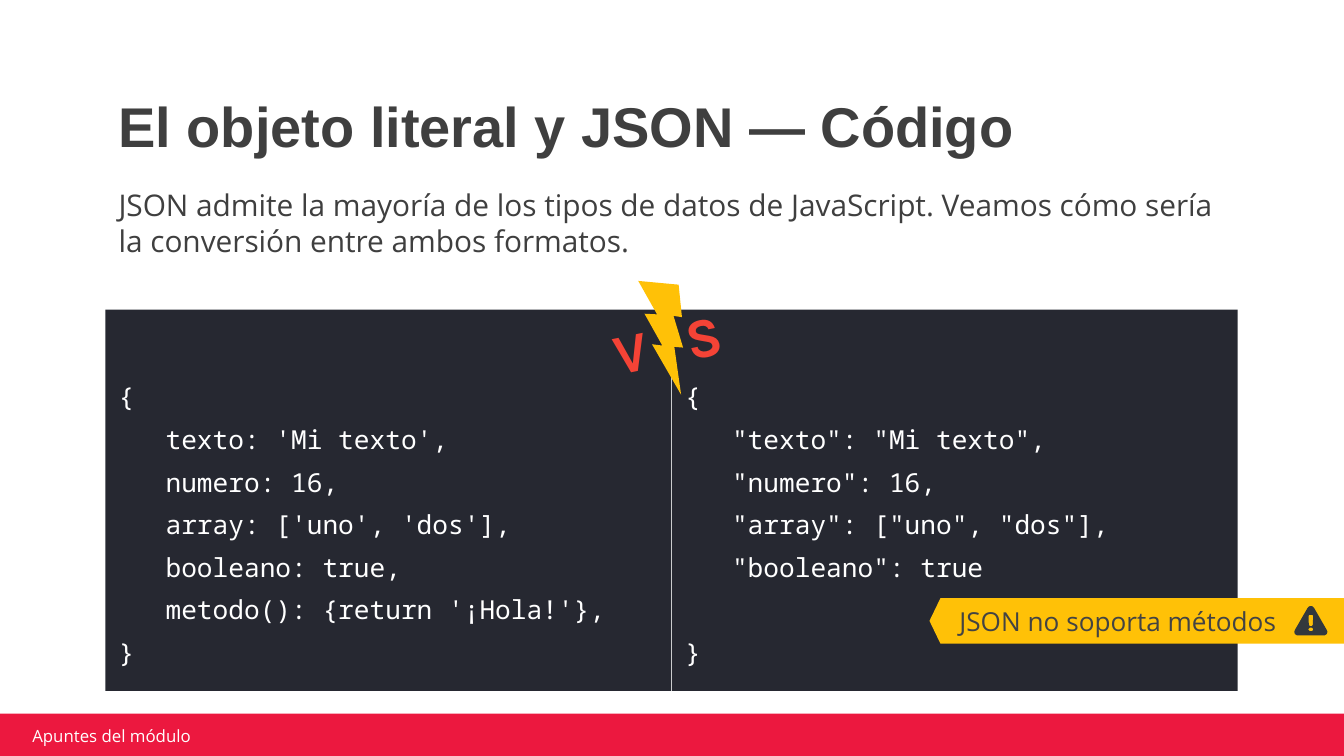
from dataclasses import dataclass

from pptx import Presentation
from pptx.dml.color import RGBColor
from pptx.enum.shapes import MSO_SHAPE
from pptx.enum.text import MSO_ANCHOR, PP_ALIGN
from pptx.util import Inches, Pt

RECTANGLE = MSO_SHAPE.RECTANGLE
ARROW = MSO_SHAPE.RIGHT_ARROW
BOLT = MSO_SHAPE.LIGHTNING_BOLT
TOP, MIDDLE, BOTTOM = MSO_ANCHOR.TOP, MSO_ANCHOR.MIDDLE, MSO_ANCHOR.BOTTOM
LEFT, CENTER = PP_ALIGN.LEFT, PP_ALIGN.CENTER


@dataclass(frozen=True)
class Theme:
    ink: str = "3F3F3F"
    tag_ink: str = "434343"
    white: str = "FFFFFF"
    panel: str = "262831"
    versus: str = "F44336"
    amber: str = "FFC107"
    icon: str = "33383C"
    footer: str = "EC183F"
    title_size: float = 30
    body_size: float = 16
    code_size: float = 14
    footer_size: float = 9
    heading: str = "Arial"
    body: str = "Open Sans"
    code: str = "Noto Sans Mono"
    display: str = "Karla"


THEME = Theme()
CODE_GAP = 6
SKIPPED_LINE = 22.8
PADDING = (0.1, 0.1, 0.1, 0.1)

LITERAL_CODE = [
    "{", "   texto: 'Mi texto',", "   numero: 16,", "   array: ['uno', 'dos'],",
    "   booleano: true,", "   metodo(): {return '¡Hola!'},", "}",
]
JSON_CODE = [
    "{", '   "texto": "Mi texto",', '   "numero": 16,',
    '   "array": ["uno", "dos"],', '   "booleano": true', "}",
]


def within(box, x, y, width, height):
    """Return a box given in percent of another box."""
    left, top, across, down = box
    return (round(left + across * x / 100), round(top + down * y / 100),
            round(across * width / 100), round(down * height / 100))


def style(target, values):
    for name, value in values.items():
        setattr(target, name, value)


def write(shape, lines, face, size, color, bold=False, anchor=TOP,
          align=LEFT, insets=PADDING):
    frame = shape.text_frame
    sides = ("margin_left", "margin_top", "margin_right", "margin_bottom")
    style(frame, {"word_wrap": True, "vertical_anchor": anchor,
                  **dict(zip(sides, map(Inches, insets)))})
    for index, line in enumerate(lines):
        para = frame.add_paragraph() if index else frame.paragraphs[0]
        style(para, {"alignment": align, "space_before": Pt(CODE_GAP if index else 0)})
        for text in [line] if isinstance(line, str) else line:
            span = para.add_run()
            span.text = text
            style(span.font, {"name": face, "size": Pt(size), "bold": bold})
            span.font.color.rgb = RGBColor.from_string(color)
    return frame.paragraphs


def paint(shape, color):
    shape.shadow.inherit = False
    shape.fill.solid()
    shape.fill.fore_color.rgb = RGBColor.from_string(color)
    shape.line.fill.background()
    return shape


def add_block(page, kind, box, color):
    return paint(page.shapes.add_shape(kind, *box), color)


def add_heading(page, box):
    # Title above its introduction
    title = page.shapes.add_textbox(*within(box, 0, 0, 100, 56.5))
    paras = write(title, ["El objeto literal y JSON — Código"], THEME.heading,
                  THEME.title_size, THEME.ink, bold=True, anchor=BOTTOM)
    paras[0].line_spacing = 0.9
    intro = page.shapes.add_textbox(*within(box, 0, 56.3, 100, 43.5))
    write(intro, ["JSON admite la mayoría de los tipos de datos de JavaScript. "
                  "Veamos cómo sería la conversión entre ambos formatos."],
          THEME.body, THEME.body_size, THEME.ink)


def add_code_panels(page, box):
    # Two equal panels with a hairline gap
    left, top, width, height = box
    gap = Pt(0.25)
    panel_width = (width - gap) // 2
    for column, lines in enumerate((LITERAL_CODE, JSON_CODE)):
        place = (left + column * (panel_width + gap), top, panel_width, height)
        panel = add_block(page, RECTANGLE, place, THEME.panel)
        paras = write(panel, lines, THEME.code, THEME.code_size, THEME.white,
                      insets=(0.1, 0.53, 0.1, 0.1))
    # The JSON side leaves the row of the method open
    paras[-1].space_before = Pt(CODE_GAP + SKIPPED_LINE)


def add_versus(page, box):
    # Tilted letters, held apart by letter spacing, with the bolt between
    letters = page.shapes.add_textbox(*box)
    letters.rotation = 348.3
    paras = write(letters, [["V", " ", "S"]], THEME.display, THEME.title_size,
                  THEME.versus, bold=True, anchor=MIDDLE, align=CENTER,
                  insets=(0, 0, 0, 0))
    paras[0].runs[1].font._element.set("spc", "1400")
    bolt = add_block(page, BOLT, within(box, 28.57, 12.7, 40, 59.3), THEME.amber)
    bolt.rotation = 30


def mirrored(half):
    """Close an outline from its right half, on a 100 by 100 field."""
    return half + [(100 - x, y) for x, y in reversed(half)]


def add_warning_icon(page, box):
    left, top, width, height = box
    triangle = mirrored([(53, 0), (57, 3), (60, 7), (98, 82), (100, 88),
                         (98, 96), (92, 100)])
    bar = mirrored([(55, 30), (57, 34), (56, 64), (53, 69)])
    dot = mirrored([(53, 74), (57, 78), (57, 82), (53, 86)])
    builder = page.shapes.build_freeform(*triangle[0], scale=(width / 100, height / 100))
    builder.add_line_segments(triangle[1:], close=True)
    for hole in (bar, dot):
        builder.move_to(*hole[0])
        builder.add_line_segments(hole[1:], close=True)
    paint(builder.convert_to_shape(left, top), THEME.icon)


def add_tag(page, box):
    # Arrow pointing left from the edge of the slide
    arrow = add_block(page, ARROW, box, THEME.amber)
    arrow.adjustments[0] = 1
    arrow.adjustments[1] = 0.241
    arrow._element.spPr.find("{*}xfrm").set("flipH", "1")
    write(arrow, ["JSON no soporta métodos"], THEME.body, THEME.code_size,
          THEME.tag_ink, anchor=MIDDLE, insets=(0.14, 0.1, 0.1, 0.1))
    add_warning_icon(page, within(box, 88, 17.6, 8, 64))


def add_footer(page, box):
    add_block(page, RECTANGLE, box, THEME.footer)
    label = page.shapes.add_textbox(*within(box, 1.9, 28.5, 23.9, 47.6))
    write(label, ["Apuntes del módulo"], THEME.body, THEME.footer_size,
          THEME.white, anchor=MIDDLE, insets=(0.05, 0.02, 0.05, 0.02))


def main():
    deck = Presentation()
    deck.slide_width, deck.slide_height = Pt(720), Pt(405)
    page = deck.slides.add_slide(deck.slide_layouts[6])
    slide = (0, 0, deck.slide_width, deck.slide_height)

    add_heading(page, within(slide, 7.84, 10.67, 84.3, 21.69))
    add_code_panels(page, within(slide, 7.84, 40.95, 84.25, 50.45))
    add_versus(page, within(slide, 40.9, 34.84, 17.5, 20.98))
    add_tag(page, within(slide, 69.16, 79.11, 30.84, 6.04))
    add_footer(page, within(slide, 0, 94.4, 100, 5.6))
    deck.save("out.pptx")


if __name__ == "__main__":
    main()
